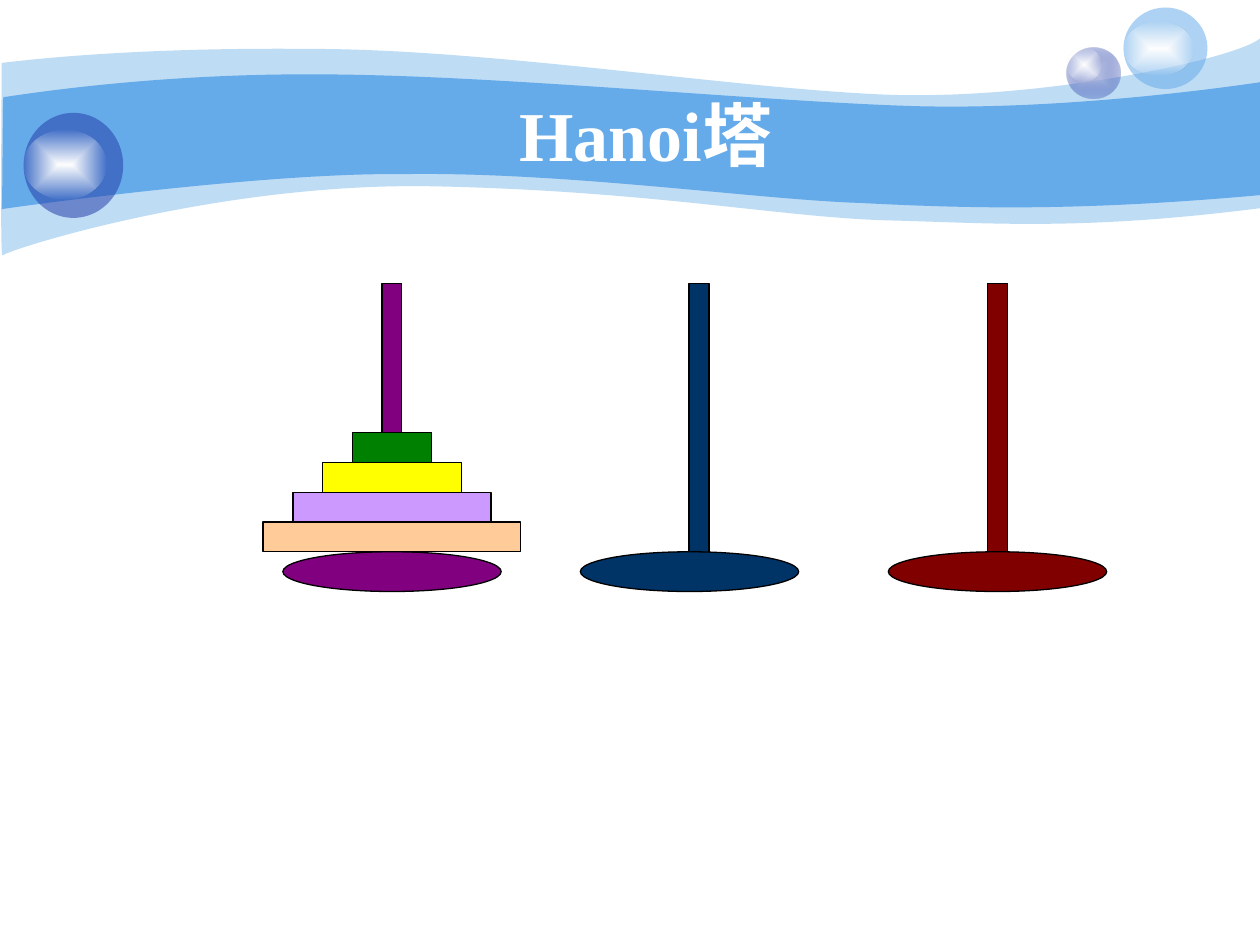
from lxml import etree
from pptx import Presentation
from pptx.dml.color import RGBColor
from pptx.enum import shapes, text
from pptx.oxml import ns
from pptx.util import Pt

RECTANGLE = shapes.MSO_SHAPE.RECTANGLE
OVAL = shapes.MSO_SHAPE.OVAL
GLOW = [("FFFFFF", 100), ("FFFFFF", 0)]

PALE_WAVE = [
    [(1, 14)],
    [(18, 12), (78, 5), (178, 6)],
    [(278, 6), (415, 28), (503, 32)],
    [(592, 36), (706, 12), (720, 0)],
    [(720, 97)],
    [(618, 110), (567, 105.5), (508, 104)],
    [(448, 102.5), (372, 87), (248, 84.5)],
    [(125, 82), (4, 121), (1.5, 124)],
    [(0, 127.5), (1, 32), (1, 14)],
]
BLUE_WAVE = [
    [(2, 13.5)],
    [(4, 13.5), (81, 0), (180, 0.5)],
    [(279, 0.5), (429, 15.5), (518, 18.5)],
    [(606, 21.5), (703, 7.5), (720, 5)],
    [(720, 69.5)],
    [(614, 79), (551.5, 77), (492, 74)],
    [(432, 72), (322.5, 56), (230, 57.5)],
    [(147.5, 56.5), (0, 77.5), (1, 77.5)],
    [(1.5, 77.5), (1.5, 13.5), (2, 13.5)],
]


def color(value):
    """Return the colour for a hex string."""
    return RGBColor.from_string(value)


def add_stop_color(parent, value, opacity):
    """Append a colour with its opacity in percent to an XML element."""
    element = etree.SubElement(parent, ns.qn("a:srgbClr"), val=value)
    if opacity < 100:
        etree.SubElement(element, ns.qn("a:alpha"), val=str(opacity * 1000))


def paint(shape, stops):
    """Fill a borderless shape with one colour or a gradient from its centre."""
    shape.shadow.inherit = False
    shape.line.fill.background()
    shape.fill.solid()
    solid = shape._element.spPr.find(ns.qn("a:solidFill"))
    if len(stops) == 1:
        add_stop_color(solid, *stops[0])
        return
    gradient = etree.Element(ns.qn("a:gradFill"), rotWithShape="1")
    stop_list = etree.SubElement(gradient, ns.qn("a:gsLst"))
    for position, stop in zip(("0", "100000"), stops):
        add_stop_color(etree.SubElement(stop_list, ns.qn("a:gs"), pos=position), *stop)
    center = etree.SubElement(gradient, ns.qn("a:path"))
    center.set("path", "shape")
    sides = dict.fromkeys("ltrb", "50000")
    etree.SubElement(center, ns.qn("a:fillToRect"), **sides)
    solid.getparent().replace(solid, gradient)


def bend_lines(shape, segments):
    """Merge each run of three outline vertices into one cubic curve."""
    lines = iter(list(shape._element.iter(ns.qn("a:lnTo"))))
    for segment in segments:
        vertices = [next(lines) for _ in segment]
        if len(vertices) == 3:
            curve = etree.Element(ns.qn("a:cubicBezTo"))
            vertices[0].addprevious(curve)
            for vertex in vertices:
                curve.append(vertex[0])
                vertex.getparent().remove(vertex)


def add_wave(slide, top, segments, opacity):
    """Draw a wavy band whose segments are relative to its top."""
    points = [(Pt(x), Pt(top + y)) for segment in segments for x, y in segment]
    builder = slide.shapes.build_freeform(*points[0])
    builder.add_line_segments(points[1:], close=True)
    wave = builder.convert_to_shape()
    bend_lines(wave, segments[1:])
    paint(wave, [("65AAE9", opacity)])


def add_bubble(slide, box, stops, glow_size, glow_drop):
    """Draw a translucent ball in a box with a highlight at its left."""
    left, top, width, height = box
    group = slide.shapes.add_group_shape()
    ball = group.shapes.add_shape(OVAL, Pt(left), Pt(top), Pt(width), Pt(height))
    paint(ball, stops)
    glow_width, glow_height = glow_size
    glow = group.shapes.add_shape(
        OVAL, Pt(left), Pt(top + glow_drop), Pt(glow_width), Pt(glow_height))
    paint(glow, GLOW)


def add_part(slide, kind, center, top, width, height, fill):
    """Draw an outlined tower part centred on a vertical axis."""
    shape = slide.shapes.add_shape(
        kind, Pt(center - width / 2), Pt(top), Pt(width), Pt(height))
    shape.shadow.inherit = False
    shape.fill.solid()
    shape.fill.fore_color.rgb = color(fill)
    shape.line.color.rgb = color("000000")
    shape.line.width = Pt(0.75)


def add_tower(slide, pole_center, base_center, top, fill, discs=()):
    """Draw a pole on its base, with discs listed from the smallest."""
    add_part(slide, RECTANGLE, pole_center, top, 11.35, 164, fill)
    base_top = top + 153.3
    add_part(slide, OVAL, base_center, base_top, 124.75, 22.7, fill)
    disc_height = 17
    for index, disc in enumerate(discs):
        disc_top = base_top - disc_height * (len(discs) - index)
        add_part(slide, RECTANGLE, pole_center, disc_top,
                 45.3 + 34 * index, disc_height, disc)


def add_title(slide, left, top, width, height):
    """Move and format the title placeholder, in front of the waves."""
    title = slide.shapes.title
    title.left, title.top, title.width, title.height = map(
        Pt, (left, top, width, height))
    slide.shapes._spTree.append(title._element)
    frame = title.text_frame
    frame.vertical_anchor = text.MSO_ANCHOR.MIDDLE
    paragraph = frame.paragraphs[0]
    paragraph.alignment = text.PP_ALIGN.CENTER
    run = paragraph.add_run()
    run.text = "Hanoi塔"
    run.font.name = "Times New Roman"
    run.font.size = Pt(40)
    run.font.bold = True
    run.font.color.rgb = color("FFFFFF")


def main():
    """Build the slide and save it."""
    presentation = Presentation()
    presentation.slide_width, presentation.slide_height = Pt(720), Pt(540)
    slide = presentation.slides.add_slide(presentation.slide_layouts[5])
    add_wave(slide, 22, PALE_WAVE, 41)
    add_wave(slide, 42, BLUE_WAVE, 100)
    add_bubble(slide, (609.3, 27, 31, 29.3), [("C7CEE9", 100), ("233DA9", 31)],
               (20, 19.5), 0)
    add_bubble(slide, (642, 4.3, 48, 46.6), [("65AAE9", 53)], (40, 31), 7.9)
    add_bubble(slide, (13.5, 64.5, 56.9, 60), [("233DA9", 53)], (47.5, 40), 9.7)
    add_tower(slide, 570, 570, 162, "800000")
    add_tower(slide, 399.5, 394, 162, "003366")
    add_tower(slide, 224, 224, 162, "800080",
              ("008000", "FFFF00", "CC99FF", "FFCC99"))
    add_title(slide, 78, 54, 582, 45)
    presentation.save("out.pptx")


if __name__ == "__main__":
    main()
